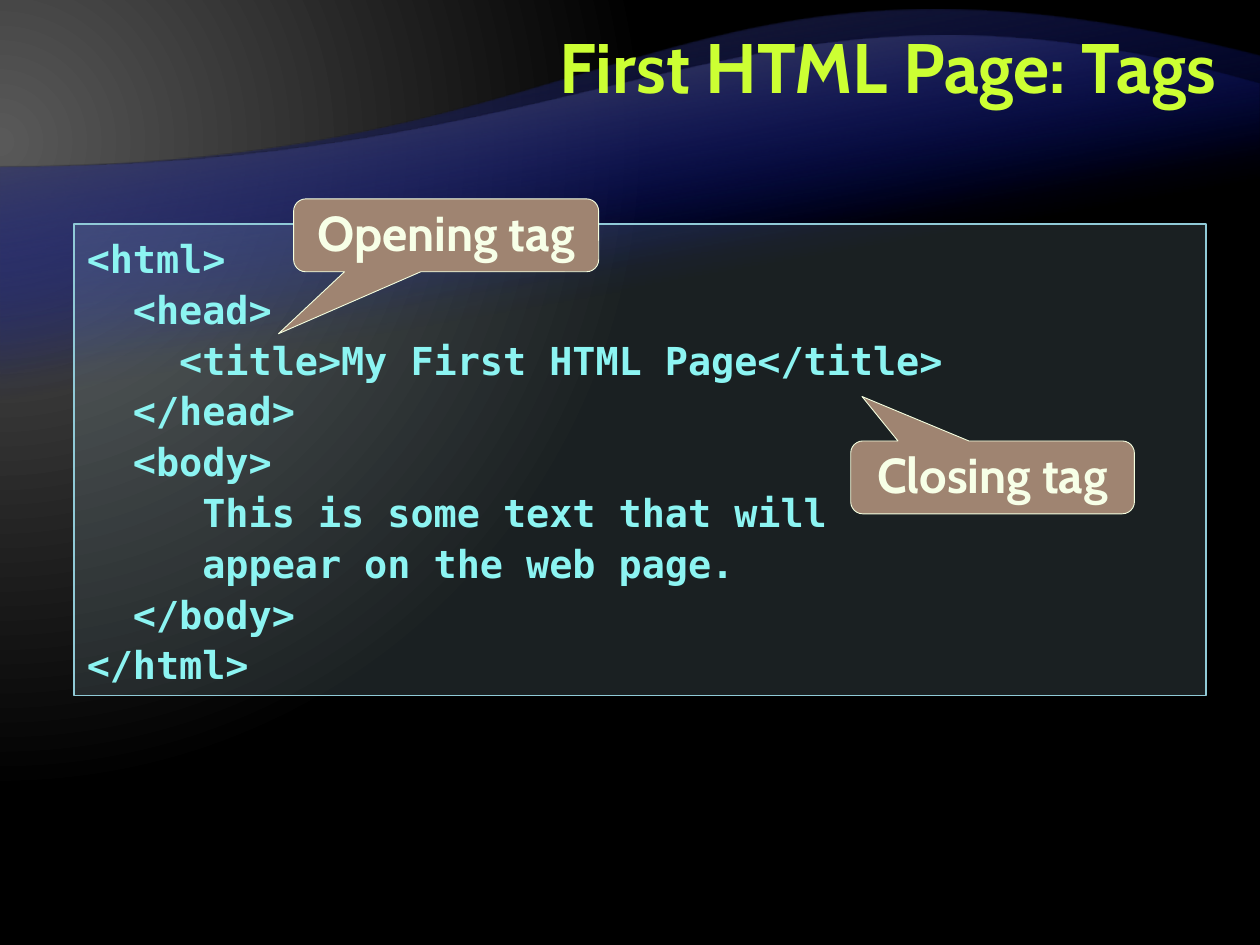
import dataclasses

import lxml.etree
import pptx
import pptx.dml.color
import pptx.enum.shapes
import pptx.enum.text
import pptx.oxml
import pptx.oxml.ns
import pptx.util

Cm = pptx.util.Cm
Pt = pptx.util.Pt
qn = pptx.oxml.ns.qn
ALIGN = pptx.enum.text.PP_ALIGN
ANCHOR = pptx.enum.text.MSO_ANCHOR
AUTO_SIZE = pptx.enum.text.MSO_AUTO_SIZE
SHAPE = pptx.enum.shapes.MSO_SHAPE

WIDTH, HEIGHT = 25.4, 19.05
HEADING_FONT, CODE_FONT = "Cabin", "DejaVu Sans Mono"

CODE = """<html>
  <head>
    <title>My First HTML Page</title>
  </head>
  <body>
     This is some text that will
     appear on the web page.
  </body>
</html>"""


@dataclasses.dataclass
class Stop:
    position: int
    color: str
    alpha: int = 100


@dataclasses.dataclass
class Wave:
    left_y: float
    right_y: float
    bottom: float
    controls: tuple[tuple[float, float], tuple[float, float]]
    top_color: str


@dataclasses.dataclass
class Callout:
    text: str
    left: float
    top: float
    width: float
    tip: tuple[float, float]


WAVES = [
    Wave(3.38, 1.14, 16.59, ((12.7, 3.38), (13.56, -1.9)), "262626"),
    Wave(3.38, 1.7, 14.15, ((12.7, 3.38), (15.19, -1.24)), "595959"),
]
CALLOUTS = [
    Callout("Opening tag", 5.92, 4.01, 6.15, (-0.55, 1.35)),
    Callout("Closing tag", 17.15, 8.89, 5.72, (-0.46, -1.11)),
]


def rgb(value: str):
    return pptx.dml.color.RGBColor.from_string(value)


def set_gradient(properties, stops: list[Stop], direction: str) -> None:
    """Replace the solid fill of a properties element with a gradient."""
    stop_xml = "".join(
        f'<a:gs pos="{stop.position * 1000}"><a:srgbClr val="{stop.color}">'
        f'<a:alpha val="{stop.alpha * 1000}"/></a:srgbClr></a:gs>'
        for stop in stops
    )
    gradient = pptx.oxml.parse_xml(
        f'<a:gradFill {pptx.oxml.ns.nsdecls("a")} rotWithShape="1">'
        f"<a:gsLst>{stop_xml}</a:gsLst>{direction}</a:gradFill>"
    )
    properties.replace(properties.find(qn("a:solidFill")), gradient)


def style_shape(shape, fill: str, line: str | None = None,
                line_width: float = 1, alpha: int = 100) -> None:
    shape.shadow.inherit = False
    shape.fill.solid()
    shape.fill.fore_color.rgb = rgb(fill)
    if alpha < 100:
        color = shape.element.spPr.find(qn("a:solidFill"))[0]
        lxml.etree.SubElement(color, qn("a:alpha"), val=str(alpha * 1000))
    if line is None:
        shape.line.fill.background()
    else:
        shape.line.color.rgb = rgb(line)
        shape.line.width = Pt(line_width)


def write_text(shape, text: str, *, font: str, size: float, color: str,
               spacing, align=ALIGN.LEFT, anchor=ANCHOR.TOP,
               auto_size=AUTO_SIZE.SHAPE_TO_FIT_TEXT) -> None:
    frame = shape.text_frame
    frame.text = text
    frame.word_wrap = True
    frame.auto_size = auto_size
    frame.vertical_anchor = anchor
    for paragraph in frame.paragraphs:
        paragraph.alignment = align
        paragraph.line_spacing = spacing
        for run in paragraph.runs:
            run.font.name = font
            run.font.size = Pt(size)
            run.font.bold = True
            run.font.color.rgb = rgb(color)


def add_wave(slide, wave: Wave) -> None:
    builder = slide.shapes.build_freeform(Cm(WIDTH), Cm(wave.bottom))
    builder.add_line_segments([
        (Cm(0), Cm(wave.bottom)),
        (Cm(0), Cm(wave.left_y)),
        (Cm(WIDTH), Cm(wave.right_y)),
    ])
    shape = builder.convert_to_shape()
    style_shape(shape, wave.top_color)

    # Turn the upper edge into a curve
    edge = shape.element.findall(".//" + qn("a:lnTo"))[-1]
    curve = lxml.etree.Element(qn("a:cubicBezTo"))
    for x, y in wave.controls:
        lxml.etree.SubElement(curve, qn("a:pt"), x=str(Cm(x) - shape.left),
                              y=str(Cm(y) - shape.top))
    curve.append(edge[0])
    edge.getparent().replace(edge, curve)
    set_gradient(shape.element.spPr,
                 [Stop(65, "000D9E", 0), Stop(100, wave.top_color)],
                 f'<a:lin ang="{260 * 60000}" scaled="0"/>')


def add_callout(slide, callout: Callout) -> None:
    shape = slide.shapes.add_shape(
        SHAPE.ROUNDED_RECTANGULAR_CALLOUT,
        Cm(callout.left), Cm(callout.top), Cm(callout.width), Cm(1.47))
    shape.adjustments[0], shape.adjustments[1] = callout.tip
    style_shape(shape, "9F8471", "F5FFE0", 0.5)
    write_text(shape, callout.text, font=HEADING_FONT, size=28,
               color="F7FFE7", spacing=Pt(30), align=ALIGN.CENTER)


def main() -> None:
    presentation = pptx.Presentation()
    presentation.slide_width, presentation.slide_height = Cm(WIDTH), Cm(HEIGHT)
    slide = presentation.slides.add_slide(presentation.slide_layouts[5])

    # Background glow and waves
    slide.background.fill.solid()
    set_gradient(
        slide.element.find(".//" + qn("p:bgPr")),
        [Stop(0, "595959"), Stop(83, "000000")],
        '<a:path path="circle"><a:fillToRect l="20000" t="30000" '
        'r="135000" b="100000"/></a:path>')
    for wave in WAVES:
        add_wave(slide, wave)

    # Code panel
    panel = slide.shapes.add_shape(SHAPE.RECTANGLE, Cm(1.5), Cm(4.52),
                                   Cm(22.81), Cm(9.5))
    style_shape(panel, "B5DBE5", "90CAD7", alpha=15)
    write_text(panel, CODE, font=CODE_FONT, size=22, color="8CF4F2",
               spacing=1.1)

    # Title, raised above the waves
    title = slide.shapes.title
    title.left, title.top = Cm(5.08), Cm(0.2)
    title.width, title.height = Cm(19.69), Cm(2.54)
    write_text(title, "First HTML Page: Tags", font=HEADING_FONT, size=40,
               color="CCFF33", spacing=Pt(40), align=ALIGN.RIGHT,
               anchor=ANCHOR.MIDDLE, auto_size=AUTO_SIZE.NONE)
    title.element.getparent().append(title.element)

    # Callouts
    for callout in CALLOUTS:
        add_callout(slide, callout)

    presentation.save("out.pptx")


if __name__ == "__main__":
    main()
